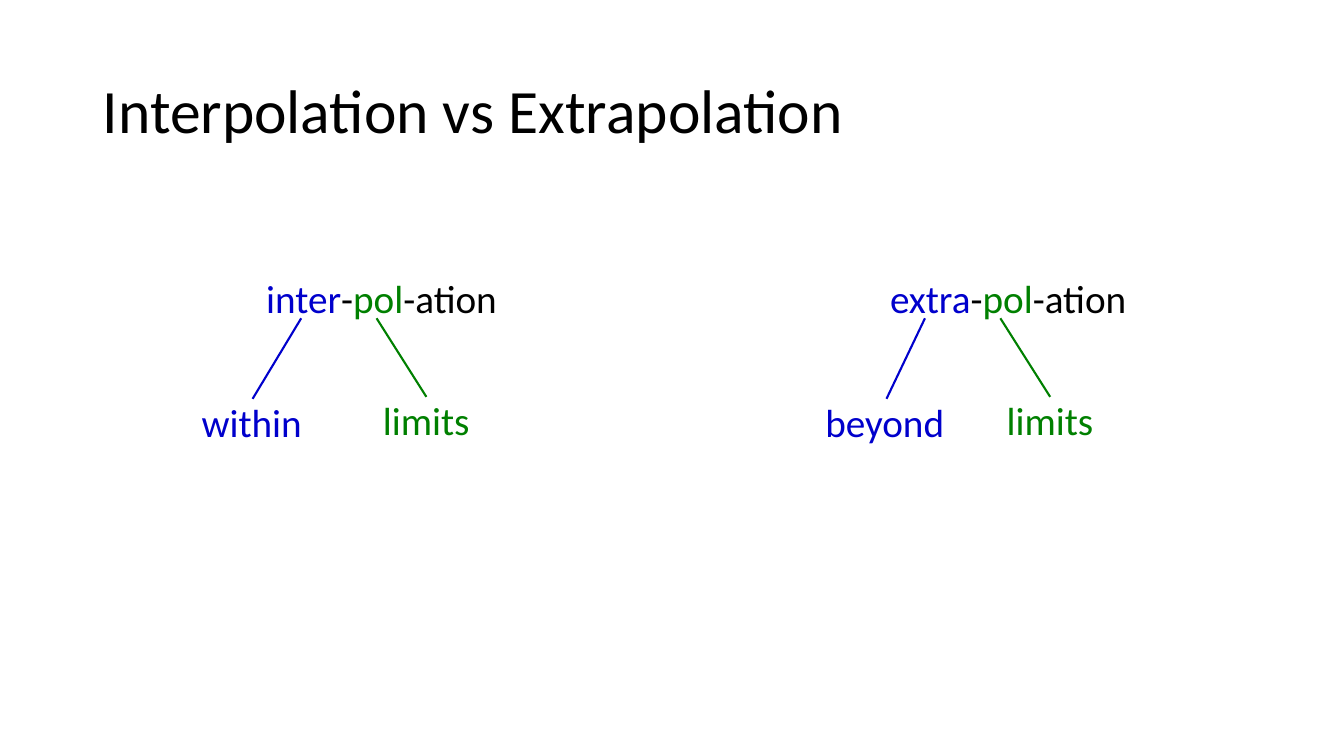
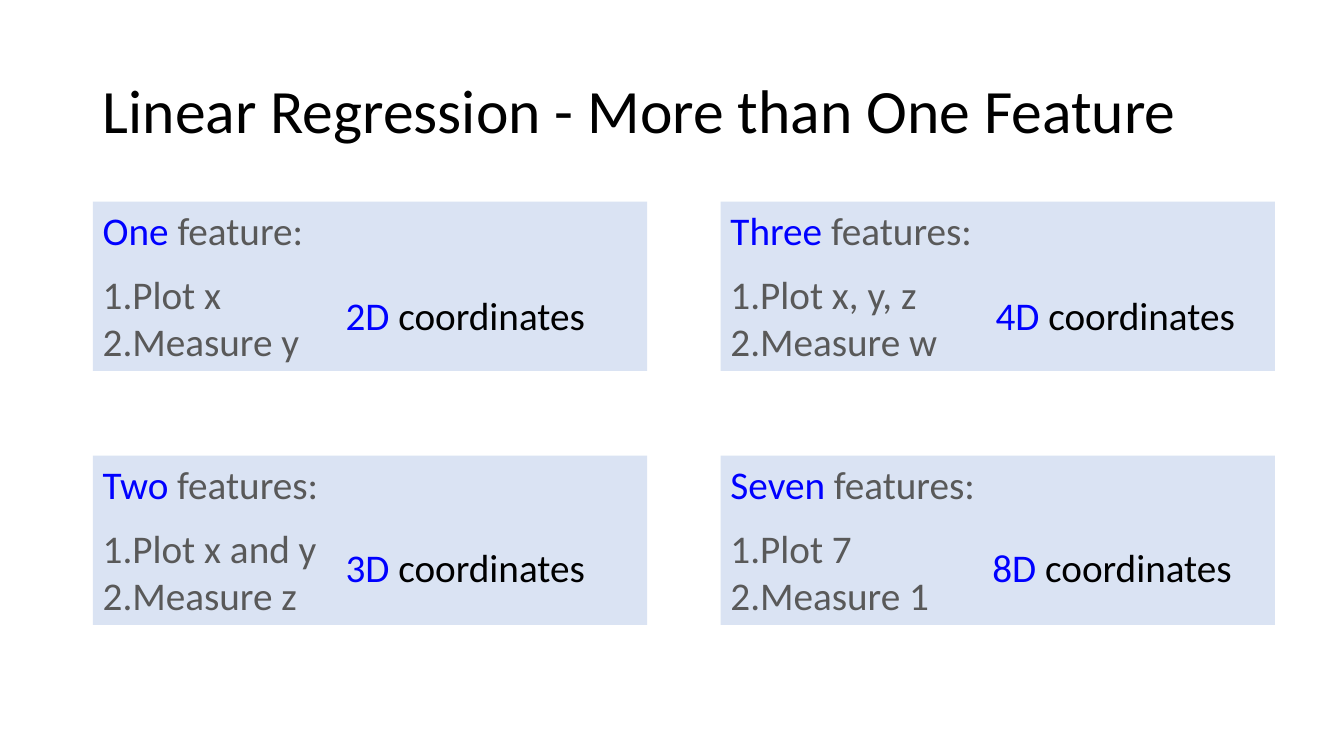
import pptx
import pptx.util
import pptx.dml.color
import pptx.enum.shapes
import pptx.enum.text
import pptx.oxml.ns
import lxml.etree

Cm = pptx.util.Cm
Pt = pptx.util.Pt
RGBColor = pptx.dml.color.RGBColor
ANCHOR = pptx.enum.text.MSO_ANCHOR

BLACK = RGBColor(0x00, 0x00, 0x00)
GREY = RGBColor(0x59, 0x59, 0x59)
NAVY = RGBColor(0x00, 0x00, 0xCC)
BLUE = RGBColor(0x00, 0x00, 0xFF)
GREEN = RGBColor(0x00, 0x80, 0x00)
PALE_BLUE = RGBColor(0xDA, 0xE3, 0xF3)

FONT = "Calibri"
BODY_SIZE = Pt(28)
LEFT = 2.34

FRAME = {"word_wrap": True, "margin_right": 0, "vertical_anchor": ANCHOR.TOP}
TITLE_FRAME = FRAME | {"vertical_anchor": ANCHOR.MIDDLE}
TITLE_PARAGRAPH = {"line_spacing": 0.9}
WORD_PARAGRAPH = {"line_spacing": 0.9, "space_before": Pt(10)}
LEFT_ALIGNED = {"alignment": pptx.enum.text.PP_ALIGN.LEFT}


def apply_format(obj, values):
    for name, value in values.items():
        setattr(obj, name, value)


def add_runs(p, runs, size=BODY_SIZE):
    for text, color in runs:
        r = p.add_run()
        r.text = text
        apply_format(r.font, {"name": FONT, "size": size})
        r.font.color.rgb = color


def add_text(s, box, runs, paragraph, frame=FRAME, size=BODY_SIZE):
    sp = s.shapes.add_textbox(*map(Cm, box))
    tf = sp.text_frame
    apply_format(tf, frame)
    p = tf.paragraphs[0]
    apply_format(p, paragraph)
    add_runs(p, runs, size)
    return sp


def add_slide(prs, title):
    s = prs.slides.add_slide(prs.slide_layouts[6])
    add_text(s, (LEFT, 1.02, 29.21, 3.68), [(title, BLACK)],
             TITLE_PARAGRAPH, TITLE_FRAME, Pt(44))
    return s


def add_meaning(s, start, box, text, color):
    sp = add_text(s, box, [(text, color)], WORD_PARAGRAPH)
    x, y = map(Cm, start)
    line = s.shapes.add_connector(
        pptx.enum.shapes.MSO_CONNECTOR.STRAIGHT, x, y, x, y)
    line.end_connect(sp, 0)
    line.line.color.rgb = color
    line.line.width = Pt(1.5)
    lxml.etree.SubElement(line._element.spPr, pptx.oxml.ns.qn("a:effectLst"))


def add_word_tree(s, left, top, prefix, meaning, width):
    add_text(s, (left + 1.63, top, 6.88, 2.06),
             [(prefix, NAVY), ("-", BLACK), ("pol", GREEN), ("-ation", BLACK)],
             WORD_PARAGRAPH)
    add_meaning(s, (left + 2.76, top + 1.09),
                (left, top + 3.12, width, 1.4), meaning, NAVY)
    add_meaning(s, (left + 4.66, top + 1.09),
                (left + 4.57, top + 3.07, 2.69, 1.4), "limits", GREEN)


def number_paragraph(p):
    pPr = p._p.get_or_add_pPr()
    apply_number = {"marL": "0", "indent": "0"}
    for name, value in apply_number.items():
        pPr.set(name, value)
    lxml.etree.SubElement(pPr, pptx.oxml.ns.qn("a:buFont"), typeface="+mj-lt")
    lxml.etree.SubElement(pPr, pptx.oxml.ns.qn("a:buAutoNum"),
                          type="arabicPeriod")


def add_feature_card(s, box, count, noun, steps, dimension, label_offset):
    left, top = box[:2]
    sp = s.shapes.add_shape(pptx.enum.shapes.MSO_SHAPE.RECTANGLE,
                            *map(Cm, box))
    sp.shadow.inherit = False
    sp.fill.solid()
    sp.fill.fore_color.rgb = PALE_BLUE
    sp.line.fill.background()
    tf = sp.text_frame
    apply_format(tf, FRAME)
    p = tf.paragraphs[0]
    apply_format(p, LEFT_ALIGNED | {"space_after": Pt(12)})
    add_runs(p, [(count, BLUE), (f" {noun}:", GREY)])
    for step, gap in zip(steps, (0, 12)):
        p = tf.add_paragraph()
        apply_format(p, LEFT_ALIGNED | {"space_after": Pt(gap)})
        number_paragraph(p)
        add_runs(p, [(step, GREY)])
    dx, dy = label_offset
    add_text(s, (left + dx, top + dy, 6.78, 1.45),
             [(dimension, BLUE), (" coordinates", BLACK)], LEFT_ALIGNED)


def build_word_slide(prs):
    s = add_slide(prs, "Interpolation vs Extrapolation")
    add_word_tree(s, 4.83, 6.93, "inter", "within", 3.07)
    add_word_tree(s, 20.55, 6.93, "extra", "beyond", 3.58)


def build_feature_slide(prs):
    s = add_slide(prs, "Linear Regression - More than One Feature")
    cards = [
        ("One", "feature", ("Plot x", "Measure y"), "2D", (6.12, 2.13)),
        ("Two", "features", ("Plot x and y", "Measure z"), "3D", (6.12, 2.08)),
        ("Three", "features", ("Plot x, y, z", "Measure w"), "4D", (6.68, 2.13)),
        ("Seven", "features", ("Plot 7", "Measure 1"), "8D", (6.6, 2.08)),
    ]
    for i, card in enumerate(cards):
        col, row = divmod(i, 2)
        box = (LEFT + col * 15.82, 5.08 + row * 6.4, 13.97, 4.27)
        add_feature_card(s, box, *card)


def main():
    prs = pptx.Presentation()
    prs.slide_width = Cm(33.87)
    prs.slide_height = Cm(19.05)
    build_word_slide(prs)
    build_feature_slide(prs)
    prs.save("out.pptx")


if __name__ == "__main__":
    main()
